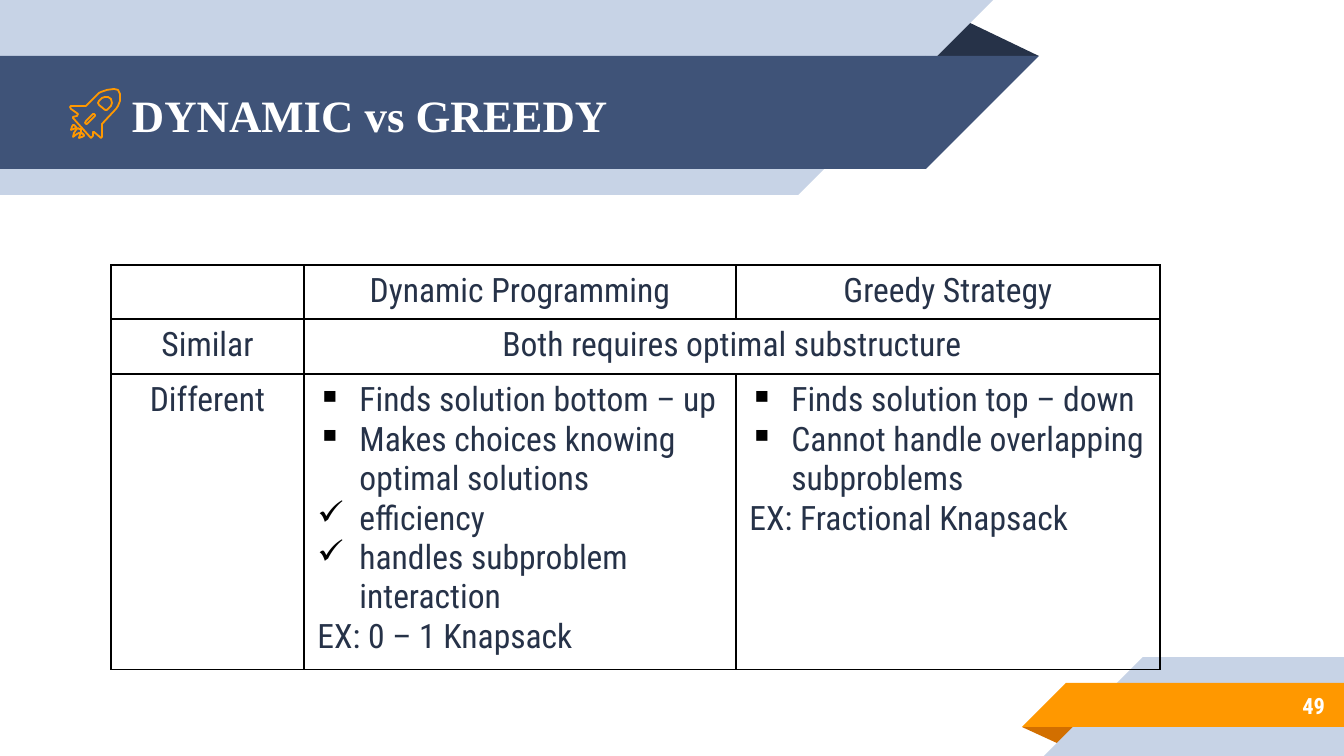
from dataclasses import dataclass

import pptx
import pptx.util
from lxml import etree
from pptx.dml.color import RGBColor
from pptx.enum.shapes import MSO_SHAPE
from pptx.enum.text import MSO_ANCHOR, PP_ALIGN
from pptx.oxml.ns import qn


@dataclass(frozen=True)
class Theme:
    ink: str = "263248"
    navy: str = "3F5378"
    pale: str = "C7D3E6"
    orange: str = "FF9800"
    rust: str = "D26F00"
    white: str = "FFFFFF"
    black: str = "000000"
    body_font: str = "Roboto Condensed"
    title_font: str = "Times New Roman"
    title_size: int = 24
    body_size: int = 18
    number_size: int = 12
    icon_line: float = 0.96
    border: float = 0.75


THEME = Theme()
TITLE = "DYNAMIC vs GREEDY"
PAGE_NUMBER = "49"
SQUARE, CHECK = "▪", "✓"

# Each cell is a list of lines; a line with a bullet is (mark, text).
COMPARISON = [
    [[], ["Dynamic Programming"], ["Greedy Strategy"]],
    [["Similar"], ["Both requires optimal substructure"], []],
    [
        ["Different"],
        [
            (SQUARE, "Finds solution bottom – up"),
            (SQUARE, "Makes choices knowing optimal solutions"),
            (CHECK, "efficiency"),
            (CHECK, "handles subproblem interaction"),
            "EX: 0 – 1 Knapsack",
        ],
        [
            (SQUARE, "Finds solution top – down"),
            (SQUARE, "Cannot handle overlapping subproblems"),
            "EX: Fractional Knapsack",
        ],
    ],
]
COLUMN_WIDTHS = [193, 432, 424]
ROW_HEIGHTS = [54, 55, 289]
TABLE_LEFT, TABLE_TOP = 111, 265
BULLET_INDENT = 42
TEXT_INSET = 13

SLIDE_WIDTH, SLIDE_HEIGHT = 1344, 756
# Top ribbons start at the left edge: top, length of the bar, height, colour.
TOP_RIBBONS = [(0, 798, 195, THEME.pale), (56, 926, 113, THEME.navy)]
# Bottom ribbons end at the right edge: top, start of the bar, height, colour.
BOTTOM_RIBBONS = [(657, 1143, 99, THEME.pale), (683, 1066, 44, THEME.orange)]
FOLD_APEX = 0.324

ROCKET_BODY = [
    (102, 137), (102, 124), (116, 109), (118, 106), (120, 101), (120, 94),
    (118, 90), (114, 89), (107, 90), (101, 92), (99, 93), (86, 106),
    (71, 106), (70, 107), (71, 109), (78, 114), (77, 116), (73, 117),
    (73, 118), (90, 137), (91, 138), (93, 136), (93, 132), (94, 132),
    (101, 138),
]
ROCKET_SLOT = [
    (87, 124), (86, 124), (85, 123), (86, 121), (93, 114), (94, 114),
    (95, 115), (95, 116), (94, 117),
]
ROCKET_WINDOW = [
    (107, 110), (105, 110), (99, 105), (98, 103), (99, 101), (102, 98),
    (105, 97), (108, 97), (111, 99), (112, 103), (111, 106),
]
FLAME = [
    (81, 129), (79, 129), (78, 128), (77, 129), (76, 130), (74, 133),
    (73, 137), (77, 134), (79, 133), (80, 133), (81, 132),
]
RIGHT_SPARK = [
    (83, 134), (82, 133), (81, 133), (80, 135), (79, 138), (82, 137),
    (84, 136), (84, 135),
]
LEFT_SPARK = [(x - 8, y - 8) for x, y in RIGHT_SPARK]
ROCKET = [[ROCKET_BODY, ROCKET_SLOT, ROCKET_WINDOW], [FLAME], [RIGHT_SPARK], [LEFT_SPARK]]

EMU_PER_PX = 914400 / 134.4


def px(length):
    return round(length * EMU_PER_PX)


def rgb(color):
    return RGBColor.from_string(color)


def add_bullet(paragraph, mark):
    properties = paragraph._p.get_or_add_pPr()
    properties.set("marL", str(px(BULLET_INDENT)))
    properties.set("indent", str(-px(BULLET_INDENT)))
    color = etree.SubElement(properties, qn("a:buClr"))
    etree.SubElement(color, qn("a:srgbClr"), val=THEME.black)
    etree.SubElement(properties, qn("a:buChar"), char=mark)


def write(frame, lines, *, font=THEME.body_font, size=THEME.body_size,
          color=THEME.ink, bold=False, align=PP_ALIGN.LEFT):
    for index, line in enumerate(lines):
        paragraph = frame.add_paragraph() if index else frame.paragraphs[0]
        mark, words = line if isinstance(line, tuple) else (None, line)
        if mark:
            add_bullet(paragraph, mark)
        paragraph.alignment = align
        run = paragraph.add_run()
        run.text = words
        run.font.name = font
        run.font.size = pptx.util.Pt(size)
        run.font.bold = bold
        run.font.color.rgb = rgb(color)


def add_label(slide, box, words, **text_format):
    frame = slide.shapes.add_textbox(*map(px, box)).text_frame
    frame.word_wrap = True
    frame.vertical_anchor = MSO_ANCHOR.MIDDLE
    frame.margin_left = frame.margin_right = px(TEXT_INSET)
    frame.margin_top = frame.margin_bottom = px(TEXT_INSET)
    write(frame, [words], **text_format)


def add_block(slide, kind, box, color, rotation=0):
    block = slide.shapes.add_shape(kind, *map(px, box))
    block.shadow.inherit = False
    block.fill.solid()
    block.fill.fore_color.rgb = rgb(color)
    block.line.fill.background()
    block.rotation = rotation
    return block


def add_fold(slide, box, color, rotation=0):
    """Add the dark triangle that shows where a ribbon turns back."""
    fold = add_block(slide, MSO_SHAPE.ISOSCELES_TRIANGLE, box, color, rotation)
    fold.adjustments[0] = FOLD_APEX


def add_ribbons(slide):
    add_fold(slide, (925, 19, 114, 37), THEME.ink)
    for top, length, height, color in TOP_RIBBONS:
        add_block(slide, MSO_SHAPE.RECTANGLE, (0, top, length, height), color)
        add_block(slide, MSO_SHAPE.RIGHT_TRIANGLE, (length, top, height, height), color, 90)
    add_fold(slide, (1022, 727, 58, 18), THEME.rust, 180)
    for top, start, height, color in BOTTOM_RIBBONS:
        add_block(slide, MSO_SHAPE.RECTANGLE, (start, top, SLIDE_WIDTH - start, height), color)
        add_block(slide, MSO_SHAPE.RIGHT_TRIANGLE, (start - height, top, height, height), color, 270)


def add_rocket(slide):
    for contours in ROCKET:
        builder = slide.shapes.build_freeform(*contours[0][0], scale=EMU_PER_PX)
        for start, *rest in contours:
            builder.move_to(*start)
            builder.add_line_segments(rest, close=True)
        part = builder.convert_to_shape()
        part.shadow.inherit = False
        part.fill.background()
        part.line.color.rgb = rgb(THEME.orange)
        part.line.width = pptx.util.Pt(THEME.icon_line)


def add_borders(cell):
    properties = cell._tc.get_or_add_tcPr()
    for side in ("lnL", "lnR", "lnT", "lnB"):
        line = etree.SubElement(properties, qn(f"a:{side}"), w=str(pptx.util.Pt(THEME.border)))
        fill = etree.SubElement(line, qn("a:solidFill"))
        etree.SubElement(fill, qn("a:srgbClr"), val=THEME.black)


def add_comparison(slide):
    box = (TABLE_LEFT, TABLE_TOP, sum(COLUMN_WIDTHS), sum(ROW_HEIGHTS))
    table = slide.shapes.add_table(len(ROW_HEIGHTS), len(COLUMN_WIDTHS), *map(px, box)).table
    table.first_row = table.horz_banding = False
    for column, width in zip(table.columns, COLUMN_WIDTHS):
        column.width = px(width)
    for row, height in zip(table.rows, ROW_HEIGHTS):
        row.height = px(height)
    table.cell(1, 1).merge(table.cell(1, 2))
    for row, row_lines in zip(table.rows, COMPARISON):
        for cell, lines in zip(row.cells, row_lines):
            add_borders(cell)
            cell.fill.background()
            align = PP_ALIGN.CENTER if len(lines) == 1 else PP_ALIGN.LEFT
            write(cell.text_frame, lines, align=align)


def main():
    deck = pptx.Presentation()
    deck.slide_width, deck.slide_height = px(SLIDE_WIDTH), px(SLIDE_HEIGHT)
    slide = deck.slides.add_slide(deck.slide_layouts[6])
    add_ribbons(slide)
    add_label(slide, (119, 58, 832, 113), TITLE, font=THEME.title_font,
              size=THEME.title_size, color=THEME.white, bold=True)
    add_label(slide, (1119, 682, 219, 47), PAGE_NUMBER, size=THEME.number_size,
              color=THEME.white, bold=True, align=PP_ALIGN.RIGHT)
    add_rocket(slide)
    add_comparison(slide)
    deck.save("out.pptx")


if __name__ == "__main__":
    main()
